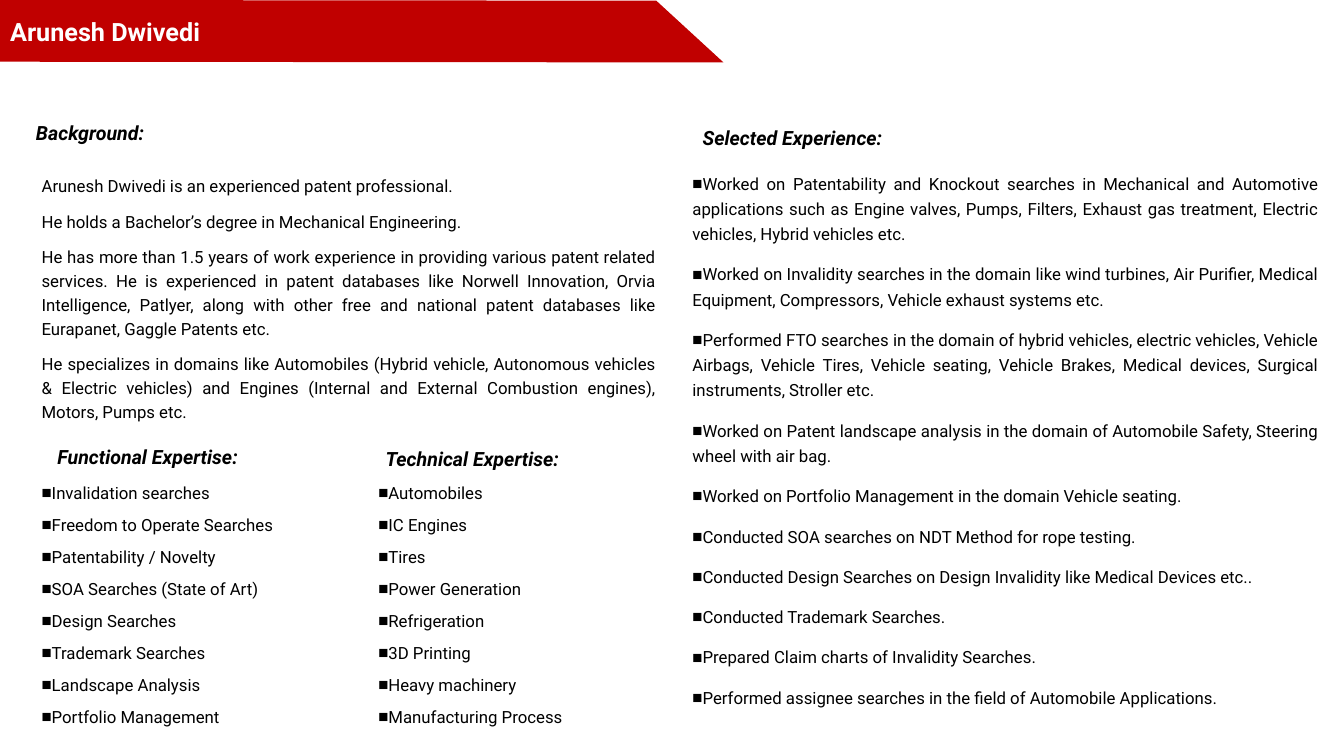
import pptx
import pptx.util
import pptx.dml.color
import pptx.enum.shapes
import pptx.enum.text
import lxml.etree

Pt = pptx.util.Pt
ALIGN = pptx.enum.text.PP_ALIGN
ANCHOR = pptx.enum.text.MSO_ANCHOR
NAMESPACE = "{http://schemas.openxmlformats.org/drawingml/2006/main}"

BACKGROUND = [
    "Arunesh Dwivedi is an experienced patent professional.",
    "He holds a Bachelor’s degree in Mechanical Engineering.",
    "He has more than 1.5 years of work experience in providing various patent related services. "
    "He is experienced in patent databases like Norwell Innovation, Orvia Intelligence, Patlyer, "
    "along with other free and national patent databases like Eurapanet, Gaggle Patents etc.",
    "He specializes in domains like Automobiles (Hybrid vehicle, Autonomous vehicles & Electric "
    "vehicles) and Engines (Internal and External Combustion engines), Motors, Pumps etc.",
]
FUNCTIONAL = [
    "Invalidation searches", "Freedom to Operate Searches", "Patentability / Novelty",
    "SOA Searches (State of Art)", "Design Searches", "Trademark Searches",
    "Landscape Analysis", "Portfolio Management",
]
TECHNICAL = [
    "Automobiles", "IC Engines", "Tires", "Power Generation", "Refrigeration",
    "3D Printing", "Heavy machinery", "Manufacturing Process",
]
EXPERIENCE = [
    "Worked on Patentability and Knockout searches in Mechanical and Automotive applications such "
    "as Engine valves, Pumps, Filters, Exhaust gas treatment, Electric vehicles, Hybrid vehicles etc.",
    "Worked on Invalidity searches in the domain like wind turbines, Air Purifier, Medical "
    "Equipment, Compressors, Vehicle exhaust systems etc.",
    "Performed FTO searches in the domain of hybrid vehicles, electric vehicles, Vehicle Airbags, "
    "Vehicle Tires, Vehicle seating, Vehicle Brakes, Medical devices, Surgical instruments, "
    "Stroller etc.",
    "Worked on Patent landscape analysis in the domain of Automobile Safety, Steering wheel with "
    "air bag.",
    "Worked on Portfolio Management in the domain Vehicle seating.",
    "Conducted SOA searches on NDT Method for rope testing.",
    "Conducted Design Searches on Design Invalidity like Medical Devices etc..",
    "Conducted Trademark Searches.",
    "Prepared Claim charts of Invalidity Searches.",
    "Performed assignee searches in the field of Automobile Applications.",
]


def colour(value):
    """Turn a hex string into a colour."""
    return pptx.dml.color.RGBColor.from_string(value)


def paint(shape, fill):
    """Give a shape a plain fill without line or shadow."""
    shape.shadow.inherit = False
    shape.fill.solid()
    shape.fill.fore_color.rgb = colour(fill)
    shape.line.fill.background()


def add_bullet(para):
    """Give a paragraph a black square with a hanging indent."""
    properties = para._p.get_or_add_pPr()
    properties.set("marL", "0")
    properties.set("indent", str(-Pt(20)))
    tint = lxml.etree.SubElement(properties, NAMESPACE + "buClr")
    lxml.etree.SubElement(tint, NAMESPACE + "srgbClr", val="000000")
    lxml.etree.SubElement(properties, NAMESPACE + "buFont", typeface="Arial")
    lxml.etree.SubElement(properties, NAMESPACE + "buChar", char="■")


def write(box, lines, size=12, ink="000000", bold=False, italic=False, align=ALIGN.LEFT,
          leading=None, before=0, bullet=False, inset=(9.4, 18), anchor=ANCHOR.TOP):
    """Fill a box with one formatted paragraph for each line."""
    frame = box.text_frame
    frame.word_wrap = True
    frame.auto_size = pptx.enum.text.MSO_AUTO_SIZE.NONE
    frame.vertical_anchor = anchor
    frame.margin_left = frame.margin_right = Pt(inset[0])
    frame.margin_top = frame.margin_bottom = Pt(inset[1])
    for index, line in enumerate(lines):
        para = frame.add_paragraph() if index else frame.paragraphs[0]
        para.alignment = align
        para.space_before = Pt(before)
        if leading:
            para.line_spacing = leading
        if bullet:
            add_bullet(para)
        span = para.add_run()
        span.text = line
        font = span.font
        font.name, font.size, font.bold, font.italic = "Roboto", Pt(size), bold, italic
        font.color.rgb = colour(ink)


def add_panel(page, left, top, width, height):
    """Add a white rectangle for text."""
    panel = page.shapes.add_shape(pptx.enum.shapes.MSO_SHAPE.RECTANGLE,
                                  Pt(left), Pt(top), Pt(width), Pt(height))
    paint(panel, "FFFFFF")
    return panel


def add_banner(page, left, top, width, height):
    """Draw the slanted red banner behind the title."""
    builder = page.shapes.build_freeform(Pt(left), Pt(top))
    corners = [(width - 48, 0.5), (width, height), (0, height - 0.5)]
    builder.add_line_segments([(Pt(left + x), Pt(top + y)) for x, y in corners], close=True)
    banner = builder.convert_to_shape()
    paint(banner, "C00000")
    title = page.shapes.title
    title._element.addprevious(banner._element)
    title.left, title.top, title.width, title.height = map(Pt, (left, top, width, height))
    write(title, ["Arunesh Dwivedi"], size=18, ink="FFFFFF", bold=True, inset=(7.2, 3.6),
          anchor=ANCHOR.MIDDLE)


def add_section(page, left, top, width, height, heading, label_box, lines, heading_leading=None,
                **body_format):
    """Place a body of text and its heading, whose box is relative to the body's corner."""
    write(add_panel(page, left, top, width, height), lines, **body_format)
    across, down, label_width, label_height = label_box
    label = add_panel(page, left + across, top + down, label_width, label_height)
    write(label, [heading], size=14, bold=True, italic=True, leading=heading_leading,
          inset=(9.4, 5))


def build_profile(page):
    """Lay out the banner and the four sections of the profile."""
    add_banner(page, 0, 0, 516.8, 44.6)
    add_section(page, 20.3, 105.1, 458, 209.5, "Background:", (-4, -25.3, 121, 28),
                BACKGROUND, 1.1, align=ALIGN.JUSTIFY, leading=Pt(17), before=8.4)
    expertise = dict(before=8.4, bullet=True)
    add_section(page, 20.3, 327.1, 226.8, 204.5, "Functional Expertise:",
                (11.3, -14.2, 172, 26.6), FUNCTIONAL, **expertise)
    add_section(page, 260.8, 327.1, 214.6, 204.5, "Technical Expertise:",
                (5.2, -12.5, 164, 26.6), TECHNICAL, **expertise)
    add_section(page, 485.2, 102.3, 466.4, 429.1, "Selected Experience:",
                (7.3, -18.9, 168.5, 28), EXPERIENCE, 1.1, align=ALIGN.JUSTIFY, leading=Pt(18),
                before=10.8, bullet=True)


deck = pptx.Presentation()
deck.slide_width, deck.slide_height = Pt(960), Pt(540)
build_profile(deck.slides.add_slide(deck.slide_layouts.get_by_name("Title Only")))
deck.save("out.pptx")
